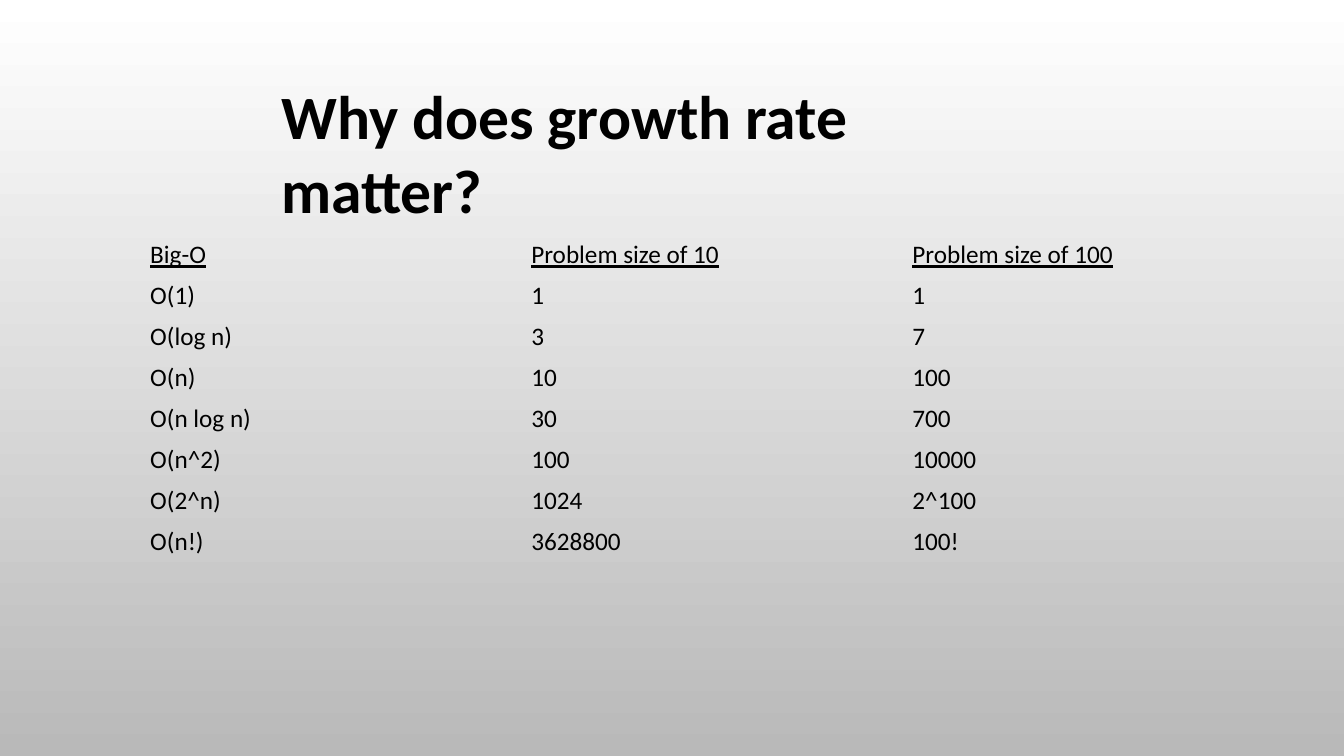
from pptx import Presentation
from pptx.dml.color import RGBColor
from pptx.enum.text import MSO_ANCHOR, MSO_AUTO_SIZE, PP_ALIGN
from pptx.oxml.ns import qn
from pptx.util import Inches, Pt

TOP, MIDDLE = MSO_ANCHOR.TOP, MSO_ANCHOR.MIDDLE
LEFT = PP_ALIGN.LEFT
FIXED = MSO_AUTO_SIZE.NONE

# Content
TITLE = "Why does growth rate matter?"
ROWS = [
    ("Big-O", "Problem size of 10", "Problem size of 100"),
    ("O(1)", "1", "1"),
    ("O(log n)", "3", "7"),
    ("O(n)", "10", "100"),
    ("O(n log n)", "30", "700"),
    ("O(n^2)", "100", "10000"),
    ("O(2^n)", "1024", "2^100"),
    ("O(n!)", "3628800", "100!"),
]
INK = "000000"
SHADES = ("FFFFFF", "B9B9B9")
FONT = "Calibri"
PLAIN = "{2D5ABB26-0587-4C30-8999-92F81FD0307C}"  # no style, no grid

# Grid, in inches
WIDE, HIGH = 13.33, 7.5
COL, ROW = 3.78, 0.4


def color(code):
    return RGBColor.from_string(code)


def write(frame, text, size, bold=False, line=False):
    frame.text = text
    para = frame.paragraphs[0]
    para.alignment = LEFT
    font = para.runs[0].font
    font.name, font.size = FONT, Pt(size)
    font.bold, font.underline = bold, line
    font.color.rgb = color(INK)


deck = Presentation()
deck.slide_width, deck.slide_height = Inches(WIDE), Inches(HIGH)
slide = deck.slides.add_slide(deck.slide_layouts[5])

# Background, light at the top
back = slide.background.fill
back.gradient()
back.gradient_angle = 270
for stop, shade in zip(back.gradient_stops, SHADES):
    stop.color.rgb = color(shade)

# Title
title = slide.shapes.title
title.left, title.top = Inches(2.69), Inches(0.72)
title.width, title.height = Inches(7.7), Inches(0.84)
frame = title.text_frame
write(frame, TITLE, 44, bold=True)
frame.word_wrap = True
frame.auto_size = FIXED
frame.vertical_anchor = TOP

# Growth table
count = len(ROWS[0])
table = slide.shapes.add_table(
    len(ROWS), count, Inches(1.39), Inches(2.33),
    Inches(COL * count), Inches(ROW * len(ROWS))).table
table.first_row = table.horz_banding = False
table._tbl.tblPr.find(qn("a:tableStyleId")).text = PLAIN
for r, row in enumerate(ROWS):
    for c, text in enumerate(row):
        cell = table.cell(r, c)
        cell.fill.background()
        cell.vertical_anchor = MIDDLE
        write(cell.text_frame, text, 18, line=r == 0)

deck.save("out.pptx")
